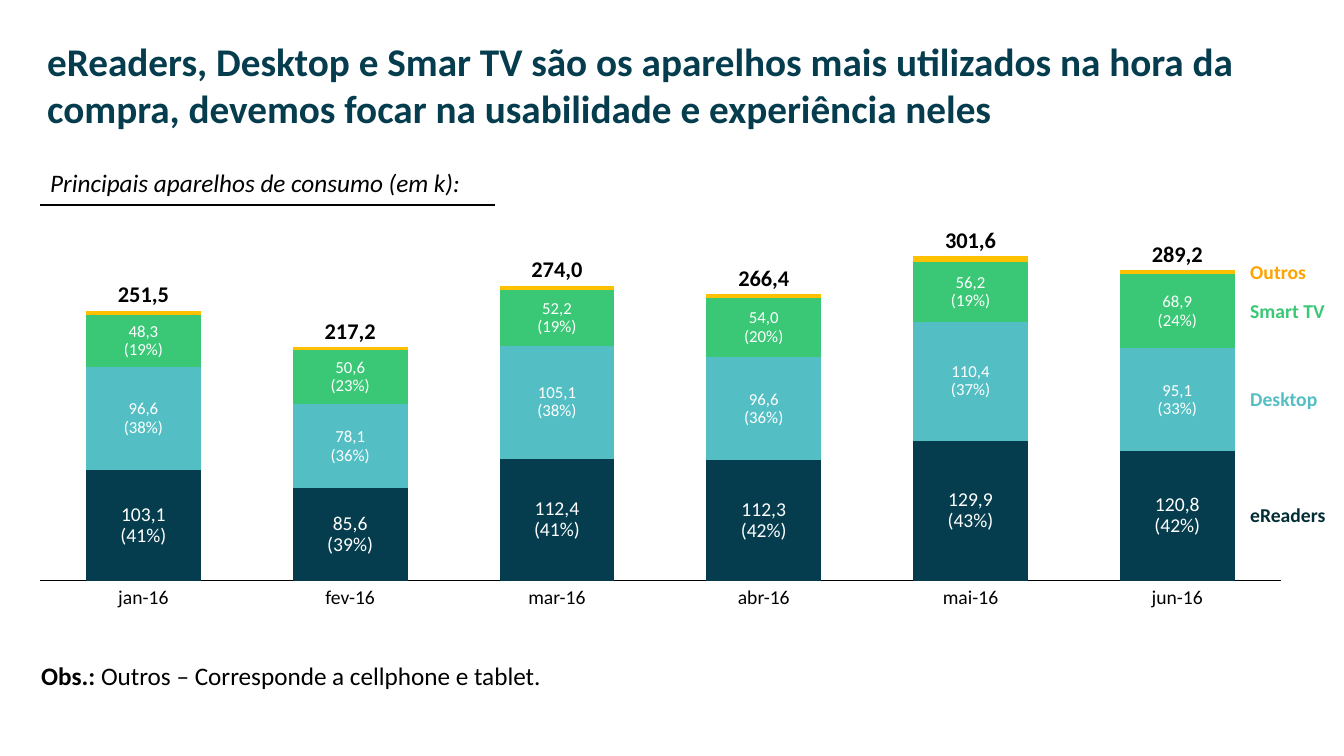
from dataclasses import dataclass

from lxml import etree
from pptx import Presentation
from pptx.chart.data import CategoryChartData
from pptx.dml.color import RGBColor
from pptx.enum.chart import XL_CHART_TYPE as ChartType
from pptx.enum.chart import XL_TICK_LABEL_POSITION as TickLabel
from pptx.enum.chart import XL_TICK_MARK as TickMark
from pptx.enum.shapes import MSO_CONNECTOR as Connector
from pptx.enum.text import MSO_ANCHOR as Anchor
from pptx.enum.text import PP_ALIGN as Align
from pptx.oxml.ns import qn
from pptx.util import Inches, Pt


@dataclass(frozen=True)
class Theme:
    font: str = "Calibri"
    black: str = "000000"
    white: str = "FFFFFF"
    navy: str = "053D4E"
    ink: str = "022D34"
    teal: str = "53BFC4"
    green: str = "3AC876"
    gold: str = "FFC000"
    orange: str = "FDA302"
    title: int = 28
    body: int = 18
    total: int = 16
    label: int = 14
    small: int = 12
    chart: int = 10


THEME = Theme()

MONTHS = ["jan-16", "fev-16", "mar-16", "abr-16", "mai-16", "jun-16"]
TOTALS = [251.5, 217.2, 274.0, 266.4, 301.6, 289.2]


@dataclass(frozen=True)
class Device:
    """One layer of the stack: bar heights, and the figures printed on them."""
    name: str
    fill: str
    name_color: str
    heights: list
    figures: list
    size: int


DEVICES = [
    Device("eReaders", THEME.navy, THEME.ink, [79, 66, 87, 86, 100, 93],
           [103.1, 85.6, 112.4, 112.3, 129.9, 120.8], THEME.label),
    Device("Desktop", THEME.teal, THEME.teal, [74, 60, 81, 74, 85, 73],
           [96.6, 78.1, 105.1, 96.6, 110.4, 95.1], THEME.small),
    Device("Smart TV", THEME.green, THEME.green, [37, 39, 40, 42, 43, 53],
           [48.3, 50.6, 52.2, 54.0, 56.2, 68.9], THEME.small),
    Device("Outros", THEME.gold, THEME.orange, [3, 2, 3, 3, 4, 3], [], THEME.small),
]

# Chart frame, its inner plot area as fractions of the frame, and the axis top
CHART_X, CHART_Y, CHART_W, CHART_H = 0.31, 2.45, 12.48, 3.4
PLOT = {"x": 0.007, "y": 0.027, "w": 0.986, "h": 0.947}
AXIS_MAX = 232
COLUMN_STEP = CHART_W * PLOT["w"] / len(MONTHS)
PLOT_HEIGHT = CHART_H * PLOT["h"]
BASELINE = CHART_Y + CHART_H * PLOT["y"] + PLOT_HEIGHT


def column_center(month):
    return CHART_X + CHART_W * PLOT["x"] + COLUMN_STEP * (month + 0.5)


def level_y(value):
    """Height on the slide, in inches, of a value on the hidden axis."""
    return BASELINE - PLOT_HEIGHT * value / AXIS_MAX


def decimal_comma(value):
    return f"{value:.1f}".replace(".", ",")


class SlideBuilder:
    def __init__(self, slide, theme):
        self.slide = slide
        self.theme = theme

    def text(self, content, x, y, w, h, size, color=None, bold=False, italic=False,
             align=Align.LEFT, anchor=Anchor.TOP, inset=(0.1, 0.05), spacing=None):
        box = self.slide.shapes.add_textbox(Inches(x), Inches(y), Inches(w), Inches(h))
        frame = box.text_frame
        frame.word_wrap = True
        frame.vertical_anchor = anchor
        frame.margin_left = frame.margin_right = Inches(inset[0])
        frame.margin_top = frame.margin_bottom = Inches(inset[1])
        paragraph = frame.paragraphs[0]
        paragraph.text = content
        paragraph.alignment = align
        paragraph.line_spacing = spacing
        for run in paragraph.runs:
            self.style(run.font, size, color, bold, italic)
        return paragraph

    def style(self, font, size, color=None, bold=False, italic=False):
        font.name = self.theme.font
        font.size = Pt(size)
        font.bold = bold
        font.italic = italic
        font.color.rgb = RGBColor.from_string(color or self.theme.black)

    def label(self, content, center_x, center_y, size, color=None, bold=False, h=0.42):
        """Text centred on a point of the chart."""
        width = 0.7
        self.text(content, center_x - width / 2, center_y - h / 2, width, h, size, color,
                  bold, align=Align.CENTER, anchor=Anchor.MIDDLE, inset=(0, 0), spacing=0.9)

    def device_name(self, device, center_y):
        self.text(device.name, 12.4, center_y - 0.1, 0.9, 0.21, self.theme.label,
                  device.name_color, True, anchor=Anchor.MIDDLE, inset=(0, 0), spacing=0.9)

    def rule(self, x1, x2, y, width):
        line = self.slide.shapes.add_connector(
            Connector.STRAIGHT, Inches(x1), Inches(y), Inches(x2), Inches(y))
        line.line.color.rgb = RGBColor.from_string(self.theme.black)
        line.line.width = Pt(width)
        etree.SubElement(line._element.spPr, qn("a:effectLst"))

    def stacked_chart(self):
        data = CategoryChartData()
        data.categories = MONTHS
        for device in DEVICES:
            data.add_series(device.name, device.heights)
        chart = self.slide.shapes.add_chart(
            ChartType.COLUMN_STACKED, Inches(CHART_X), Inches(CHART_Y),
            Inches(CHART_W), Inches(CHART_H), data).chart
        chart.has_legend = chart.has_title = False
        self.style(chart.font, self.theme.chart)

        months, values = chart.category_axis, chart.value_axis
        months.tick_label_position = TickLabel.NONE
        months.major_tick_mark = months.minor_tick_mark = TickMark.NONE
        months.format.line.color.rgb = RGBColor.from_string(self.theme.black)
        months.format.line.width = Pt(0.75)
        values.minimum_scale, values.maximum_scale = 0, AXIS_MAX
        values.has_major_gridlines = False
        values.visible = False

        plot = chart.plots[0]
        plot.gap_width, plot.overlap = 80, 100
        plot.vary_by_categories = False
        for series, device in zip(plot.series, DEVICES):
            series.format.fill.solid()
            series.format.fill.fore_color.rgb = RGBColor.from_string(device.fill)
        self.fix_plot_area(chart)

    def fix_plot_area(self, chart):
        area = chart._chartSpace.find(".//" + qn("c:plotArea"))
        for old in area.findall(qn("c:layout")):
            area.remove(old)
        layout = etree.Element(qn("c:layout"))
        area.insert(0, layout)
        manual = etree.SubElement(layout, qn("c:manualLayout"))
        settings = {"layoutTarget": "inner", "xMode": "edge", "yMode": "edge", **PLOT}
        for tag, value in settings.items():
            etree.SubElement(manual, qn(f"c:{tag}")).set("val", str(value))

    def chart_labels(self):
        for month, (name, total) in enumerate(zip(MONTHS, TOTALS)):
            center = column_center(month)
            stacked = 0
            for device in DEVICES:
                middle = level_y(stacked + device.heights[month] / 2)
                stacked += device.heights[month]
                if device.figures:
                    figure = device.figures[month]
                    self.label(f"{decimal_comma(figure)}\v({figure / total:.0%})",
                               center, middle, device.size, self.theme.white)
                if name == MONTHS[-1]:
                    self.device_name(device, middle)
            self.label(decimal_comma(total), center, level_y(stacked) - 0.15,
                       self.theme.total, bold=True, h=0.24)
            self.label(name, center, 5.93, self.theme.label, h=0.21)


def main():
    deck = Presentation()
    deck.slide_width, deck.slide_height = Inches(13.33), Inches(7.5)
    page = SlideBuilder(deck.slides.add_slide(deck.slide_layouts[6]), THEME)

    page.text("eReaders, Desktop e Smar TV são os aparelhos mais utilizados na hora da "
              "compra, devemos focar na usabilidade e experiência neles",
              0.37, 0.32, 12.6, 1.04, THEME.title, THEME.navy, bold=True)
    page.text("Principais aparelhos de consumo (em k):", 0.4, 1.61, 4.6, 0.4,
              THEME.body, italic=True)
    page.rule(0.4, 4.91, 2.03, 1.5)
    page.stacked_chart()
    page.chart_labels()

    note = page.text("Obs.: ", 0.31, 6.5, 5.4, 0.4, THEME.body, bold=True)
    meaning = note.add_run()
    meaning.text = "Outros – Corresponde a cellphone e tablet."
    page.style(meaning.font, THEME.body)
    deck.save("out.pptx")


if __name__ == "__main__":
    main()
